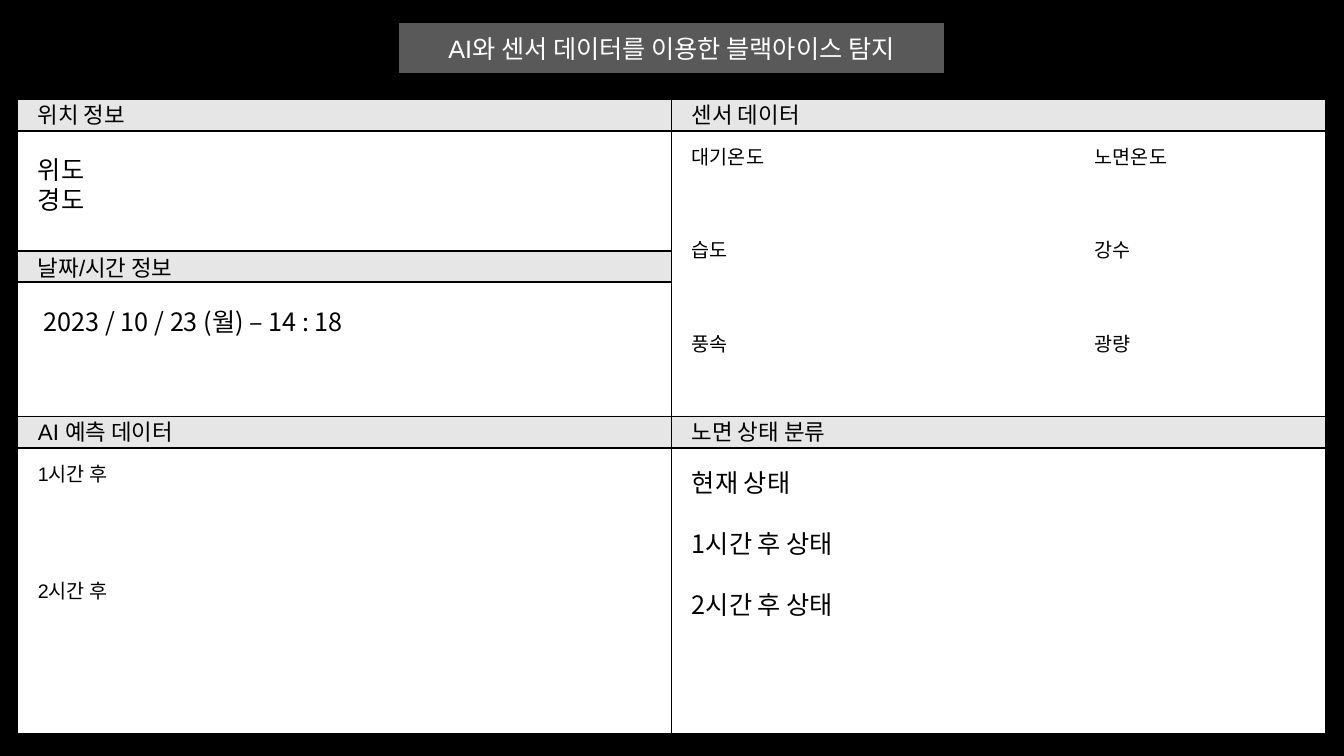
from lxml import etree
from pptx import Presentation
from pptx.dml.color import RGBColor
from pptx.enum import shapes, text
from pptx.oxml.ns import qn
from pptx.util import Emu, Pt

PX = 914400 / 100.8
BLACK = RGBColor(0x00, 0x00, 0x00)
WHITE = RGBColor(0xFF, 0xFF, 0xFF)
HEADER_GRAY = RGBColor(0xE7, 0xE6, 0xE6)
TITLE_GRAY = RGBColor(0x59, 0x59, 0x59)
LABEL_FONT = "Arial"
VALUE_FONT = "Noto Sans CJK KR"

LEFT, MIDDLE, RIGHT = 17, 672, 1326
TOP, BOTTOM = 99, 734
HEADER_BOTTOM = 131
DATE_TOP, DATE_BOTTOM = 251, 282
LOWER_TOP, LOWER_BOTTOM = 416, 448
LEFT_TEXT, RIGHT_TEXT = 28, 682
SENSOR_TAB = 403


def px(length):
    return Emu(round(length * PX))


class Dashboard:
    """Draws on one slide in a shared style, with lengths in px."""

    def __init__(self, deck):
        self.slide = deck.slides.add_slide(deck.slide_layouts[5])
        self.slide.background.fill.solid()
        self.slide.background.fill.fore_color.rgb = BLACK

    def outline(self, line):
        line.color.rgb = BLACK
        line.width = Pt(1)

    def add_words(self, paragraph, words, size, font, color=BLACK):
        run = paragraph.add_run()
        run.text = words
        run.font.size = Pt(size)
        run.font.name = font
        run.font.color.rgb = color

    def title(self, words, left, top, width, height):
        title = self.slide.shapes.title
        title.left, title.top = px(left), px(top)
        title.width, title.height = px(width), px(height)
        title.fill.solid()
        title.fill.fore_color.rgb = TITLE_GRAY
        self.outline(title.line)
        frame = title.text_frame
        frame.vertical_anchor = text.MSO_ANCHOR.MIDDLE
        frame.paragraphs[0].alignment = text.PP_ALIGN.CENTER
        self.add_words(frame.paragraphs[0], words, 18, LABEL_FONT, WHITE)

    def box(self, left, top, right, bottom, fill=None, outlined=False):
        box = self.slide.shapes.add_shape(
            shapes.MSO_SHAPE.RECTANGLE,
            px(left), px(top), px(right - left), px(bottom - top))
        box.shadow.inherit = False
        if fill is None:
            box.fill.background()
        else:
            box.fill.solid()
            box.fill.fore_color.rgb = fill
        if outlined:
            self.outline(box.line)
        else:
            box.line.fill.background()
        return box

    def rule(self, x1, y1, x2, y2):
        rule = self.slide.shapes.add_connector(
            shapes.MSO_CONNECTOR.STRAIGHT, px(x1), px(y1), px(x2), px(y2))
        self.outline(rule.line)
        etree.SubElement(rule._element.spPr, qn("a:effectLst"))
        return rule

    def divide(self, frame, start_site, end_site):
        """Join the middles of two opposite sides of the frame."""
        divider = self.rule(LEFT, TOP, RIGHT, BOTTOM)
        divider.begin_connect(frame, start_site)
        divider.end_connect(frame, end_site)

    def text(self, left, top, width, height, lines, font=LABEL_FONT,
             wrap=False, tab=None):
        """Add lines given as (words, point size, points of space before)."""
        box = self.slide.shapes.add_textbox(
            px(left), px(top), px(width), px(height))
        frame = box.text_frame
        frame.word_wrap = wrap
        frame.auto_size = text.MSO_AUTO_SIZE.SHAPE_TO_FIT_TEXT
        for index, (words, size, gap) in enumerate(lines):
            paragraph = frame.add_paragraph() if index else frame.paragraphs[0]
            paragraph.space_before = Pt(gap)
            if tab:
                stops = etree.SubElement(
                    paragraph._p.get_or_add_pPr(), qn("a:tabLst"))
                etree.SubElement(
                    stops, qn("a:tab"), pos=str(px(tab)), algn="l")
            self.add_words(paragraph, words, size, font)


def main():
    deck = Presentation()
    deck.slide_width, deck.slide_height = px(1344), px(756)
    board = Dashboard(deck)
    board.title("AI와 센서 데이터를 이용한 블랙아이스 탐지", 398, 22, 547, 52)

    board.box(LEFT, HEADER_BOTTOM, RIGHT, BOTTOM, WHITE)
    for top, right, bottom in ((TOP, RIGHT, HEADER_BOTTOM),
                               (DATE_TOP, MIDDLE, DATE_BOTTOM),
                               (LOWER_TOP, RIGHT, LOWER_BOTTOM)):
        board.box(LEFT, top, right, bottom, HEADER_GRAY)
    frame = board.box(LEFT, TOP, RIGHT, BOTTOM, outlined=True)
    board.divide(frame, 0, 2)
    board.divide(frame, 1, 3)
    for y, right in ((HEADER_BOTTOM, RIGHT), (LOWER_BOTTOM, RIGHT),
                     (DATE_TOP, MIDDLE), (DATE_BOTTOM, MIDDLE)):
        board.rule(LEFT, y, right, y)

    board.text(LEFT_TEXT, 96, 173, 273,
               [("위치 정보", 16, 0), ("날짜/시간 정보", 16, 90)])
    board.text(RIGHT_TEXT, 96, 507, 268,
               [("센서 데이터", 16, 0),
                ("대기온도\t노면온도", 14, 12),
                ("습도\t강수", 14, 50),
                ("풍속\t광량", 14, 50)], tab=SENSOR_TAB)
    board.text(RIGHT_TEXT, 413, 172, 37, [("노면 상태 분류", 16, 0)])
    board.text(LEFT_TEXT, 413, 170, 197,
               [("AI 예측 데이터", 16, 0),
                ("1시간 후", 14, 12),
                ("2시간 후", 14, 67)])

    board.text(LEFT_TEXT, 149, 371, 72,
               [("위도", 18, 0), ("경도", 18, 0)], VALUE_FONT, wrap=True)
    board.text(34, 301, 591, 40,
               [("2023 / 10 / 23 (월) – 14 : 18", 18, 0)],
               VALUE_FONT, wrap=True)
    board.text(RIGHT_TEXT, 462, 634, 163,
               [("현재 상태", 18, 0),
                ("1시간 후 상태", 18, 22),
                ("2시간 후 상태", 18, 22)], VALUE_FONT, wrap=True)
    deck.save("out.pptx")


if __name__ == "__main__":
    main()
